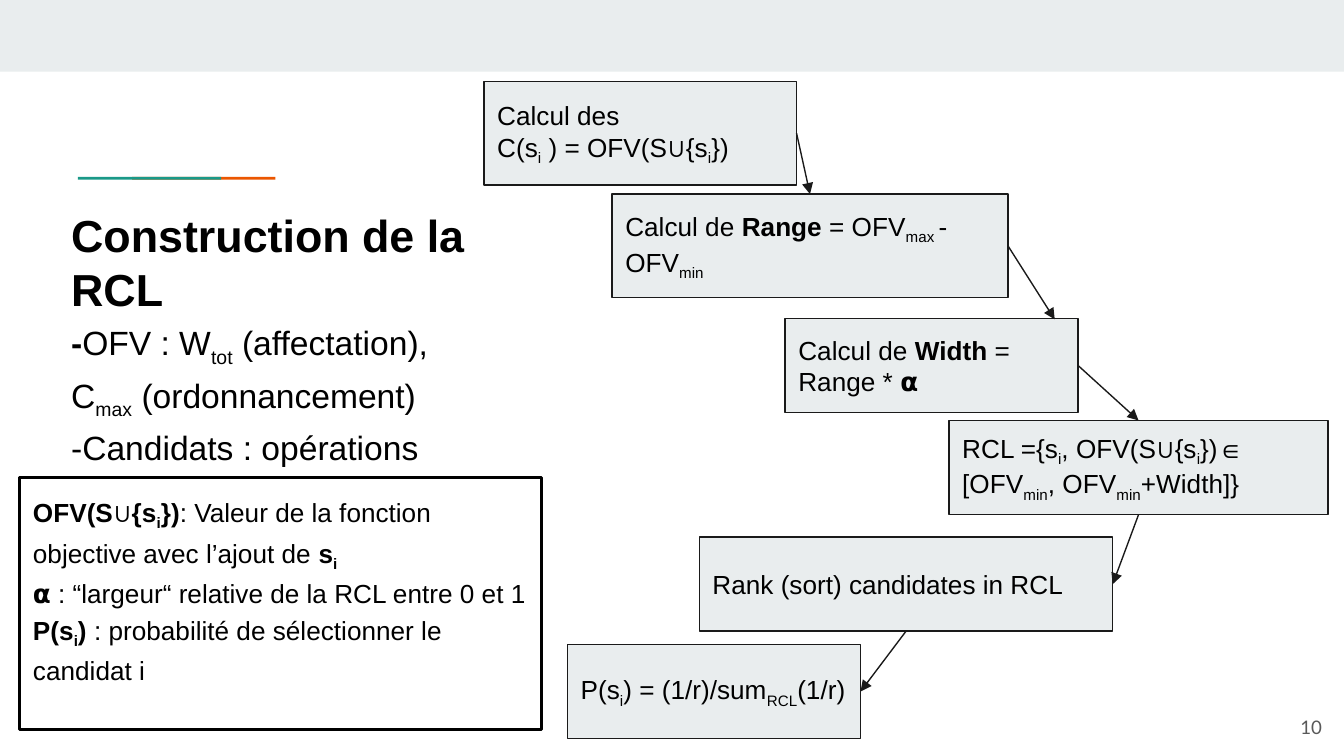
from dataclasses import dataclass

from pptx import Presentation
from pptx.dml.color import RGBColor
from pptx.enum import shapes, text
from pptx.oxml import parse_xml
from pptx.oxml.ns import nsdecls, qn
from pptx.util import Pt


@dataclass(frozen=True)
class Theme:
    pale: str = "E9EDEE"
    ink: str = "000000"
    edge: str = "1A1A1A"
    teal: str = "1A9988"
    orange: str = "EB5600"
    grey: str = "595959"
    face: str = "Arial"
    foot: str = "Lato"
    head: int = 24
    lead: int = 18
    body: int = 14
    small: int = 10


T = Theme()
ANCHOR, ALIGN = text.MSO_ANCHOR, text.PP_ALIGN

# Text marks: | switches bold on or off, ~ switches subscript on or off.
STEPS = [
    ((259.25, 43.6, 167.5, 55.5), ["Calcul des", "C(s~i~ ) = OFV(S∪{s~i~})"]),
    ((327.9, 104, 212.1, 55.5),
     ["Calcul de |Range| = OFV~max ~- OFV~min~"]),
    ((420.6, 170.6, 157, 50.5), ["Calcul de |Width| = Range * |⍺|"]),
    ((508.4, 225.25, 203.1, 50.5),
     ["RCL ={s~i~, OFV(S∪{s~i~})∈ [OFV~min~, OFV~min~+Width]}"]),
    ((374.6, 287.8, 221.5, 50.4), ["Rank (sort) candidates in RCL"]),
    ((304, 345.25, 157, 50.5), ["P(s~i~) = (1/r)/sum~RCL~(1/r)"]),
]
TOP, RIGHT, BOTTOM = (0.5, 0), (1, 0.5), (0.5, 1)
# One arrow from each step to the next: leaving point, arriving point.
LINKS = [(RIGHT, TOP), (RIGHT, (0.92, 0.01)), (RIGHT, TOP),
         (BOTTOM, RIGHT), (BOTTOM, RIGHT)]

TITLE = [("|Construction de la RCL|", T.head, 1),
         ("|-|OFV : W~tot~ (affectation),", T.lead, 1.15),
         ("C~max~ (ordonnancement)", T.lead, 1.15),
         ("-Candidats : opérations", T.lead, 1.15)]
LEGEND = ["|OFV(S∪{s~i~})|: Valeur de la fonction objective avec "
          "l’ajout de |s~i~|",
          "|⍺| : “largeur“ relative de la RCL entre 0 et 1",
          "|P(s~i~) |: probabilité de sélectionner le candidat i"]


def rgb(code):
    return RGBColor.from_string(code)


def block(slide, box, fill=None, line=None, width=0.75):
    shape = slide.shapes.add_shape(shapes.MSO_SHAPE.RECTANGLE,
                                   *map(Pt, box))
    shape.shadow.inherit = False
    if fill:
        shape.fill.solid()
        shape.fill.fore_color.rgb = rgb(fill)
    else:
        shape.fill.background()
    if line:
        shape.line.color.rgb = rgb(line)
        shape.line.width = Pt(width)
    else:
        shape.line.fill.background()
    return shape


def runs(para, marked, size, face, color):
    """Split marked text into plain, bold and subscript runs."""
    bold = False
    for i, part in enumerate(marked.split("~")):
        for j, bit in enumerate(part.split("|")):
            bold = bold != (j > 0)
            if not bit:
                continue
            run = para.add_run()
            run.text = bit
            look = {"size": Pt(size), "name": face, "bold": bold}
            for key, value in look.items():
                setattr(run.font, key, value)
            run.font.color.rgb = rgb(color)
            if i % 2:
                run.font._element.set("baseline", "-25000")


def write(shape, rows, anchor=ANCHOR.TOP, align=ALIGN.LEFT,
          face=T.face, color=T.ink):
    """Fill a shape with rows of (marked text, size, line spacing)."""
    frame = shape.text_frame
    look = {"word_wrap": True, "vertical_anchor": anchor}
    sides = ("left", "right", "top", "bottom")
    look.update({f"margin_{side}": Pt(7.2) for side in sides})
    for key, value in look.items():
        setattr(frame, key, value)
    for i, (marked, size, space) in enumerate(rows):
        para = frame.add_paragraph() if i else frame.paragraphs[0]
        para.alignment = align
        para.line_spacing = space
        runs(para, marked, size, face, color)


def accent(slide, box):
    """Two overlapping bars, teal in front of orange."""
    x, y, w, h = box
    bar = w * 0.725
    block(slide, (x + w - bar, y, bar, h), T.orange)
    block(slide, (x, y, bar, h), T.teal)


def title(slide, box):
    write(slide.shapes.add_textbox(*map(Pt, box)), TITLE)


def legend(slide, box):
    shape = block(slide, box, line=T.ink, width=1.5)
    write(shape, [(row, T.body, 1.15) for row in LEGEND])


def spot(box, part):
    x, y, w, h = box
    return Pt(x + w * part[0]), Pt(y + h * part[1])


def arrow(slide, start, end):
    link = slide.shapes.add_connector(shapes.MSO_CONNECTOR.STRAIGHT,
                                      *start, *end)
    link.line.color.rgb = rgb(T.edge)
    link.line.width = Pt(0.75)
    props = link._element.spPr
    tip = parse_xml(f'<a:tailEnd {nsdecls("a")} type="triangle"/>')
    props.find(qn("a:ln")).append(tip)
    props.append(parse_xml(f'<a:effectLst {nsdecls("a")}/>'))


def flow(slide):
    for box, rows in STEPS:
        shape = block(slide, box, T.pale, T.edge)
        write(shape, [(row, T.body, 1) for row in rows], ANCHOR.MIDDLE)
    for (a, _), (b, _), (leave, reach) in zip(STEPS, STEPS[1:], LINKS):
        arrow(slide, spot(a, leave), spot(b, reach))


def number(slide, box):
    write(slide.shapes.add_textbox(*map(Pt, box)), [("10", T.small, 1)],
          ANCHOR.MIDDLE, ALIGN.RIGHT, T.foot, T.grey)


def main():
    deck = Presentation()
    deck.slide_width, deck.slide_height = Pt(720), Pt(405)
    slide = deck.slides.add_slide(deck.slide_layouts[6])
    block(slide, (0, 0, 720, 38.4), T.pale)
    accent(slide, (41.75, 94.75, 105.75, 1.5))
    title(slide, (31, 104.2, 239, 179))
    legend(slide, (10.6, 255.75, 279.5, 135.25))
    flow(slide)
    number(slide, (672.2, 374, 43, 31))
    deck.save("out.pptx")


if __name__ == "__main__":
    main()
